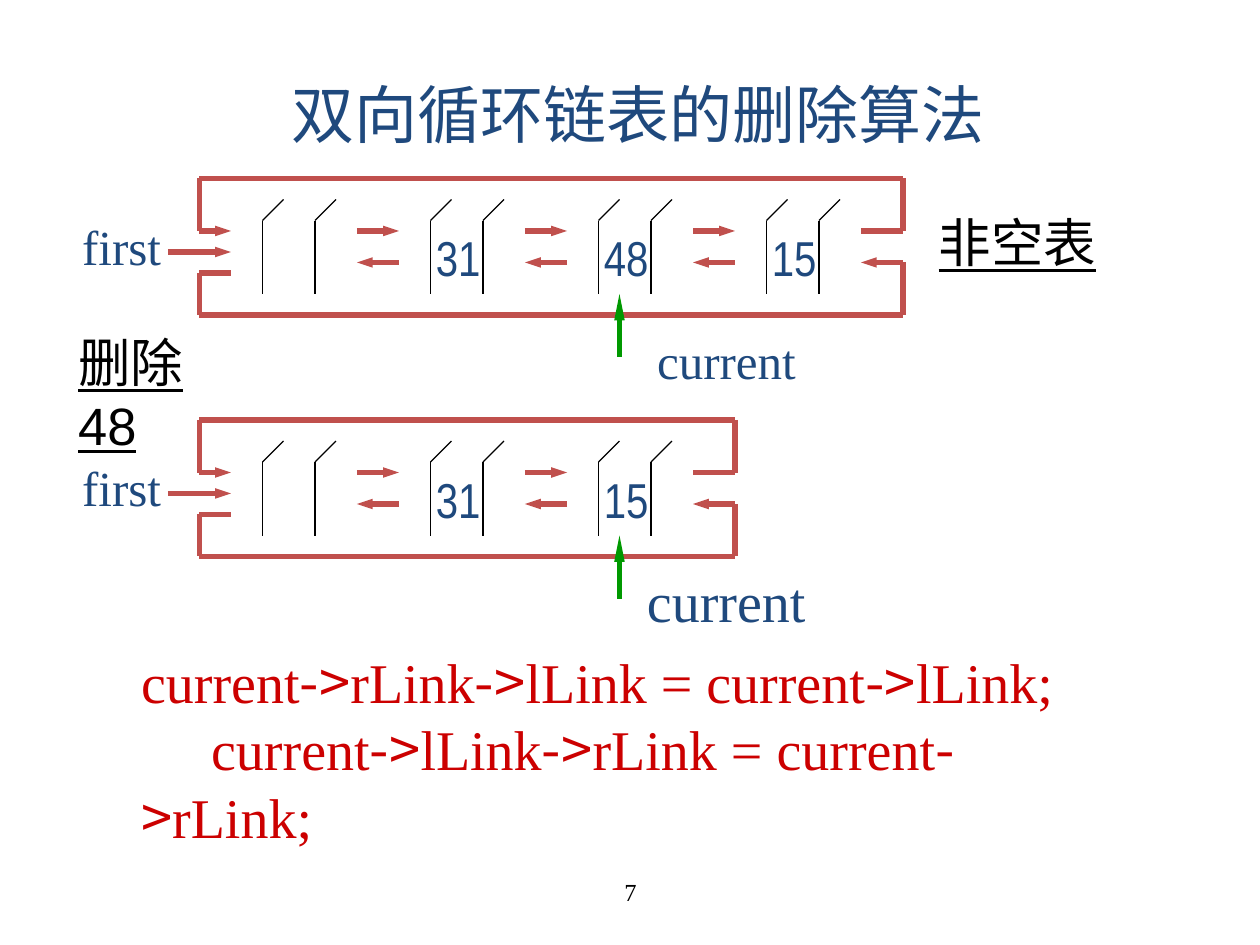
import pptx
import pptx.util
from lxml import etree
from pptx.dml.color import RGBColor
from pptx.enum.shapes import MSO_CONNECTOR
from pptx.enum.text import MSO_ANCHOR, MSO_AUTO_SIZE, PP_ALIGN
from pptx.oxml.ns import qn
from pptx.util import Inches

NAVY, RED, GREEN, BLACK, CODE = "1F497D", "C0504D", "009900", "000000", "CC0000"
SERIF, SANS, NARROW, CJK = "Times New Roman", "Arial", "Arial Narrow", "Noto Sans CJK SC"

TITLE = "双向循环链表的删除算法"
# top of the loop, node values (the head node is empty), label of the pointer
LISTS = [
    (17 / 12, ["", "31", "48", "15"], ("current", 28, (5.04, 2.57, 1.45, 0.57))),
    (40 / 12, ["", "31", "15"], ("current", 32, (4.95, 4.45, 1.63, 0.63))),
]
STEPS = [
    "current->rLink->lLink = current->lLink;",
    "     current->lLink->rLink = current->rLink;",
]
LEFT, PITCH, CELL = 25 / 12, 4 / 3, 5 / 12
LOOP = 19 / 12  # left side of the loop
MARK = 2  # node that current points to

deck = pptx.Presentation()
deck.slide_width, deck.slide_height = Inches(10), Inches(7.5)
slide = deck.slides.add_slide(deck.slide_layouts[5])


def color(code):
    return RGBColor.from_string(code)


def style(font, size, face, code):
    font.size, font.name = pptx.util.Pt(size), face
    font.color.rgb = color(code)


def place(shape, box):
    shape.left, shape.top, shape.width, shape.height = map(Inches, box)


def inset(frame, x=0.12, y=0.06):
    frame.margin_left = frame.margin_right = Inches(x)
    frame.margin_top = frame.margin_bottom = Inches(y)


def label(text, box, size, face=SERIF, code=NAVY):
    """Add a centred one-line text."""
    frame = slide.shapes.add_textbox(*map(Inches, box)).text_frame
    frame.vertical_anchor = MSO_ANCHOR.MIDDLE
    para = frame.paragraphs[0]
    para.text, para.alignment = text, PP_ALIGN.CENTER
    style(para.font, size, face, code)


def note(text, box, face):
    """Add an underlined caption and return its frame."""
    frame = slide.shapes.add_textbox(*map(Inches, box)).text_frame
    inset(frame)
    para = frame.paragraphs[0]
    para.text = text
    style(para.font, 30, face, BLACK)
    para.font.underline = True
    return frame


def line(x1, y1, x2, y2, code=RED, width=3, tip=None):
    """Draw a line; tip is the length of an arrowhead at its end."""
    link = slide.shapes.add_connector(
        MSO_CONNECTOR.STRAIGHT, *map(Inches, (x1, y1, x2, y2)))
    link.line.color.rgb = color(code)
    link.line.width = pptx.util.Pt(width)
    if tip:
        etree.SubElement(link.line._get_or_add_ln(), qn("a:tailEnd"),
                         type="triangle", w="sm", len=tip)
    etree.SubElement(link._element.spPr, qn("a:effectLst"))


def node(x, top, value):
    """Draw the two bent sides of a node and its value."""
    for side in (x, x + CELL):
        line(side, top + 1 / 3, side, top + 11 / 12, BLACK, 0.75)
        line(side, top + 1 / 3, side + 1 / 6, top + 1 / 6, BLACK, 0.75)
    if value:
        label(value, (x - 0.06, top + 0.34, 0.56, 0.57), 28, NARROW)


def ring(top, values, pointer):
    """Draw a circular doubly linked list."""
    for i, value in enumerate(values):
        node(LEFT + i * PITCH, top, value)

    next_y, first_y, prev_y, back_y = (top + n / 12 for n in (5, 7, 8, 9))
    base = top + 13 / 12
    for i in range(len(values) - 1):
        x = LEFT + i * PITCH + 0.75
        line(x, next_y, x + 1 / 3, next_y, tip="med")
        line(x + 1 / 3, prev_y, x, prev_y, tip="med")

    end = LEFT + (len(values) - 1) * PITCH + 13 / 12
    entry = LOOP + 0.25
    line(end - 1 / 3, next_y, end, next_y)
    line(end, top, end, next_y)
    line(end, top, LOOP, top)
    line(LOOP, top, LOOP, next_y)
    line(LOOP, next_y, entry, next_y, tip="med")
    line(LOOP, back_y, entry, back_y)
    line(LOOP, back_y, LOOP, base)
    line(end, base, LOOP, base)
    line(end, prev_y, end, base)
    line(end, prev_y, end - 1 / 3, prev_y, tip="med")

    label("first", (0.52, top + 0.25, 0.89, 0.57), 28)
    line(LOOP - 0.25, first_y, entry, first_y, tip="med")
    text, size, box = pointer
    label(text, box, size)
    x = LEFT + MARK * PITCH + 1 / 6
    line(x, top + 17 / 12, x, top + 11 / 12, GREEN, tip="lg")


title = slide.shapes.title
place(title, (1.8, 0.54, 6.52, 0.73))
frame = title.text_frame
frame.text, frame.auto_size = TITLE, MSO_AUTO_SIZE.NONE
frame.vertical_anchor = MSO_ANCHOR.TOP
inset(frame)
frame.paragraphs[0].alignment = PP_ALIGN.CENTER
style(frame.paragraphs[0].font, 36, SERIF, NAVY)

for item in LISTS:
    ring(*item)

task = note("删除48", (0.5, 2.56, 1.55, 0.62), SANS)
task.word_wrap, task.margin_right = True, Inches(0.5)
note("非空表", (7.33, 1.61, 1.5, 0.62), SERIF)

frame = slide.shapes.add_textbox(*map(Inches, (1, 5.08, 7.8, 1.19))).text_frame
frame.word_wrap = True
inset(frame)
for i, step in enumerate(STEPS):
    para = frame.add_paragraph() if i else frame.paragraphs[0]
    for j, part in enumerate(step.split("->")):
        for text, face in ([("->", CJK)] if j else []) + [(part, SERIF)]:
            run = para.add_run()
            run.text = text
            style(run.font, 32, face, CODE)

label("7", (3.42, 6.83, 3.17, 0.5), 14, SERIF, BLACK)
deck.save("out.pptx")
